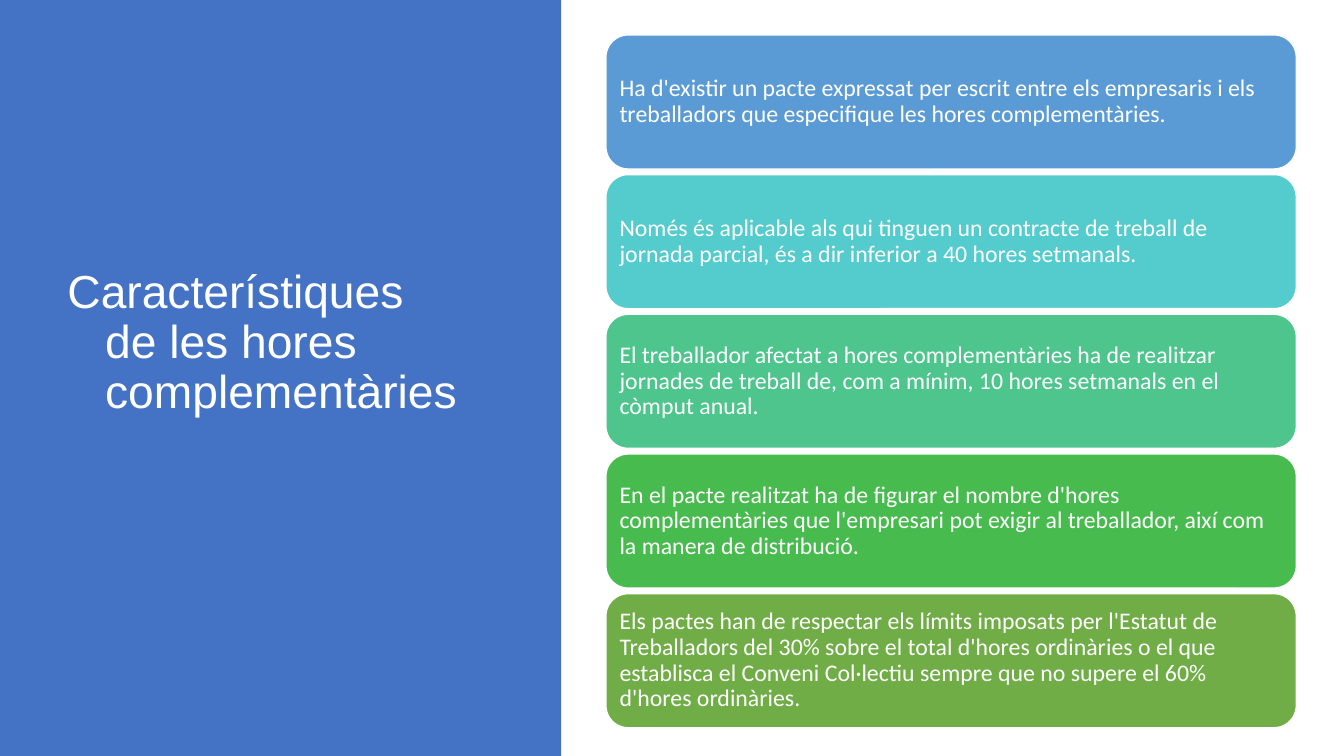
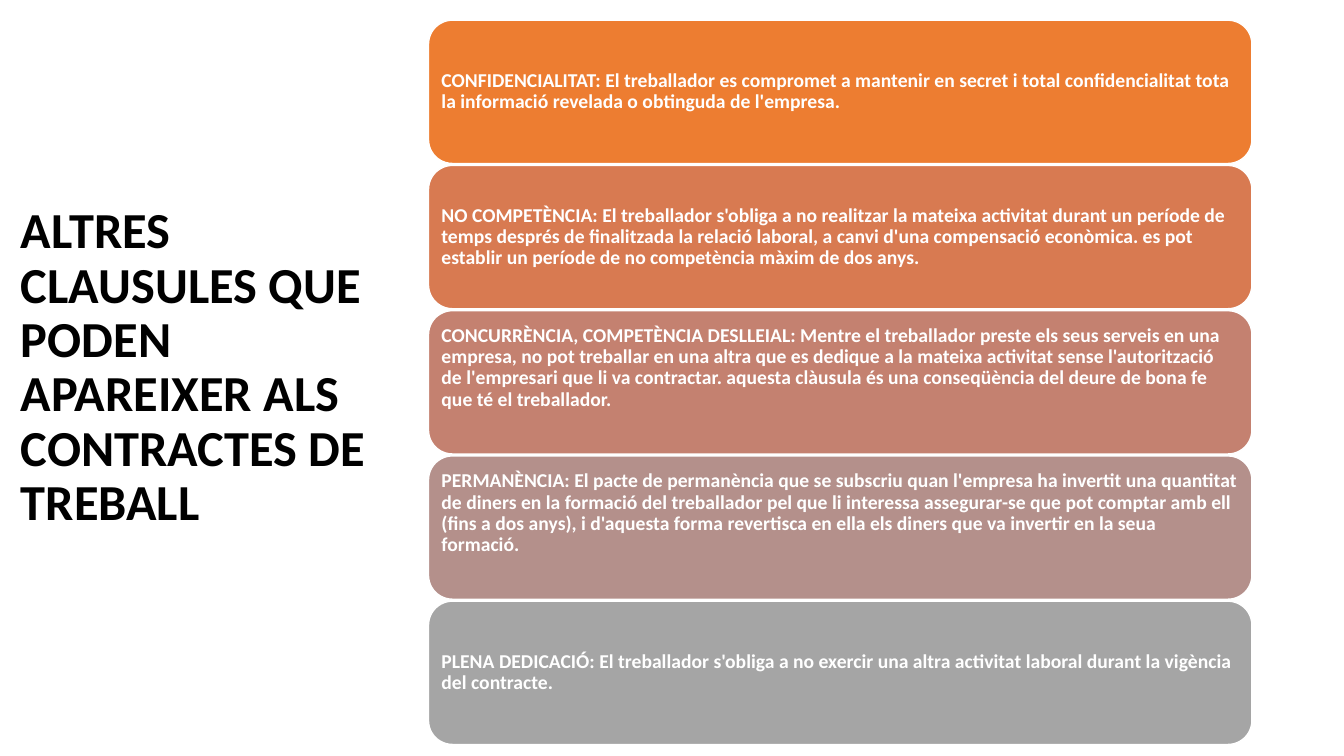
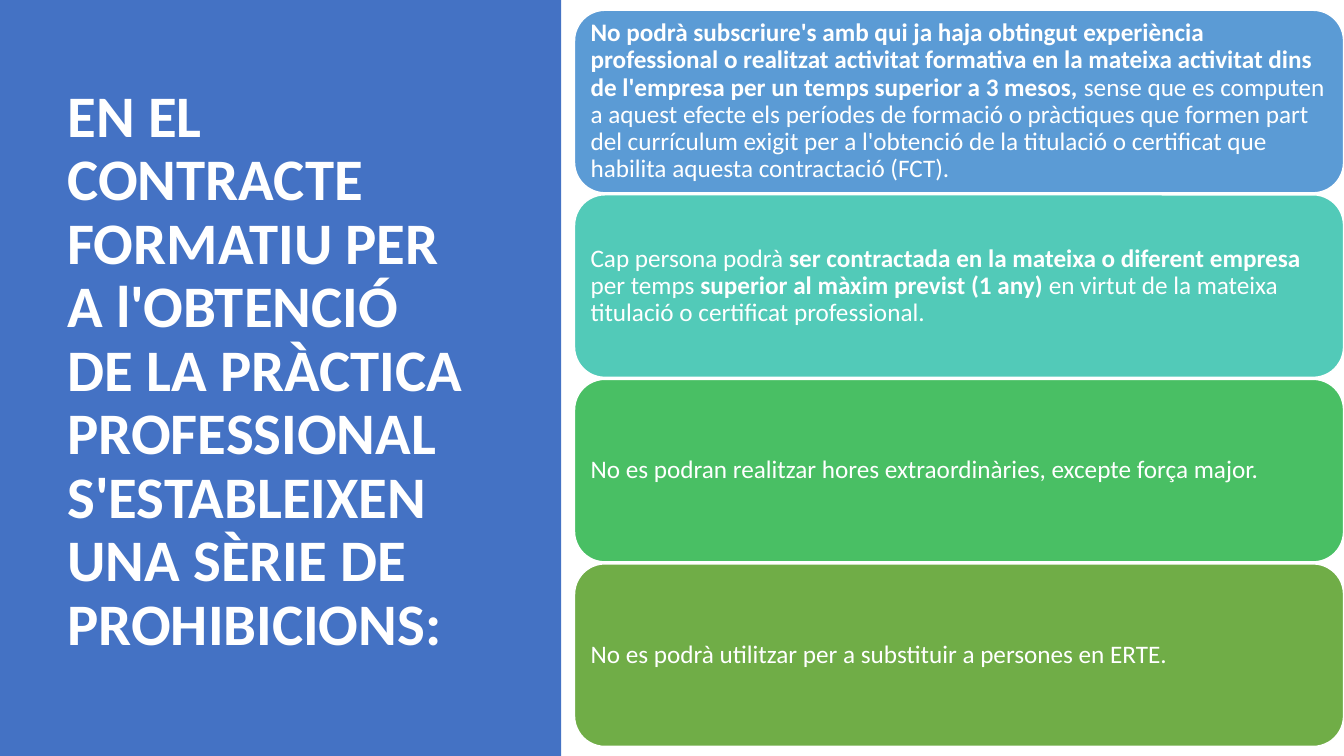
from pptx import Presentation
from pptx.dml.color import RGBColor
from pptx.enum.shapes import MSO_SHAPE
from pptx.enum.text import MSO_ANCHOR, PP_ALIGN
from pptx.util import Cm, Pt

RECTANGLE = MSO_SHAPE.RECTANGLE
ROUNDED = MSO_SHAPE.ROUNDED_RECTANGLE
MIDDLE = MSO_ANCHOR.MIDDLE
LEFT = PP_ALIGN.LEFT

WHITE = RGBColor(0xFF, 0xFF, 0xFF)
BLACK = RGBColor(0x00, 0x00, 0x00)
PANEL_BLUE = RGBColor(0x44, 0x72, 0xC4)
SKY = RGBColor(0x5B, 0x9B, 0xD5)
TURQUOISE = RGBColor(0x54, 0xCC, 0xCD)
AQUA = RGBColor(0x52, 0xCA, 0xB8)
JADE = RGBColor(0x4D, 0xC5, 0x8D)
EMERALD = RGBColor(0x49, 0xBF, 0x64)
GREEN = RGBColor(0x48, 0xBB, 0x4F)
OLIVE = RGBColor(0x70, 0xAD, 0x47)
ORANGE = RGBColor(0xED, 0x7D, 0x31)
COPPER = RGBColor(0xD8, 0x7A, 0x51)
ROSE = RGBColor(0xC4, 0x81, 0x70)
MAUVE = RGBColor(0xB4, 0x90, 0x8B)
GRAY = RGBColor(0xA5, 0xA5, 0xA5)

SLIDE_WIDTH, SLIDE_HEIGHT = 33.87, 19.05
PANEL_WIDTH = 14.14
BODY_FONT = "Calibri"
LINE_SPACING = 0.9
RAISED_TEXT = 0.72  # extra bottom inset that lifts the text of a card

PACT_CARDS = [
    (SKY, "Ha d'existir un pacte expressat per escrit entre els empresaris i els "
          "treballadors que especifique les hores complementàries."),
    (TURQUOISE, "Només és aplicable als qui tinguen un contracte de treball de jornada "
                "parcial, és a dir inferior a 40 hores setmanals."),
    (JADE, "El treballador afectat a hores complementàries ha de realitzar jornades de "
           "treball de, com a mínim, 10 hores setmanals en el còmput anual."),
    (GREEN, "En el pacte realitzat ha de figurar el nombre d'hores complementàries que "
            "l'empresari pot exigir al treballador, així com la manera de distribució."),
    (OLIVE, "Els pactes han de respectar els límits imposats per l'Estatut de "
            "Treballadors del 30% sobre el total d'hores ordinàries o el que establisca "
            "el Conveni Col·lectiu sempre que no supere el 60% d'hores ordinàries."),
]

CLAUSE_CARDS = [
    (ORANGE, "CONFIDENCIALITAT: El treballador es compromet a mantenir en secret i total "
             "confidencialitat tota la informació revelada o obtinguda de l'empresa."),
    (COPPER, "NO COMPETÈNCIA: El treballador s'obliga a no realitzar la mateixa activitat "
             "durant un període de temps després de finalitzada la relació laboral, a "
             "canvi d'una compensació econòmica. es pot establir un període de no "
             "competència màxim de dos anys."),
    (ROSE, "CONCURRÈNCIA, COMPETÈNCIA DESLLEIAL: Mentre el treballador preste els seus "
           "serveis en una empresa, no pot treballar en una altra que es dedique a la "
           "mateixa activitat sense l'autorització de l'empresari que li va contractar. "
           "aquesta clàusula és una conseqüència del deure de bona fe que té el "
           "treballador.", RAISED_TEXT),
    (MAUVE, "PERMANÈNCIA: El pacte de permanència que se subscriu quan l'empresa ha "
            "invertit una quantitat de diners en la formació del treballador pel que li "
            "interessa assegurar-se que pot comptar amb ell (fins a dos anys), i "
            "d'aquesta forma revertisca en ella els diners que va invertir en la seua "
            "formació.", RAISED_TEXT),
    (GRAY, "PLENA DEDICACIÓ: El treballador s'obliga a no exercir una altra activitat "
           "laboral durant la vigència del contracte."),
]

# Bold passages stand between asterisks.
PROHIBITION_CARDS = [
    (SKY, "*No podrà subscriure's amb qui ja haja obtingut experiència professional o "
          "realitzat activitat formativa en la mateixa activitat dins de l'empresa per un "
          "temps superior a 3 mesos,* sense que es computen a aquest efecte els períodes "
          "de formació o pràctiques que formen part del currículum exigit per a "
          "l'obtenció de la titulació o certificat que habilita aquesta contractació "
          "(FCT)."),
    (AQUA, "Cap persona podrà *ser contractada en la mateixa o diferent empresa* per "
           "temps *superior al màxim previst (1 any)* en virtut de la mateixa titulació o "
           "certificat professional."),
    (EMERALD, "No es podran realitzar hores extraordinàries, excepte força major."),
    (OLIVE, "No es podrà utilitzar per a substituir a persones en ERTE."),
]


class Deck:
    def __init__(self):
        self.presentation = Presentation()
        self.presentation.slide_width = Cm(SLIDE_WIDTH)
        self.presentation.slide_height = Cm(SLIDE_HEIGHT)
        self.slide = None

    def add_slide(self):
        self.slide = self.presentation.slides.add_slide(self.presentation.slide_layouts[6])

    def set_text(self, shape, text, size, color, font=BODY_FONT, bold=False):
        """Fill the shape with one paragraph; asterisks toggle bold."""
        frame = shape.text_frame
        frame.word_wrap = True
        frame.vertical_anchor = MIDDLE
        paragraph = frame.paragraphs[0]
        paragraph.alignment = LEFT
        paragraph.line_spacing = LINE_SPACING
        paragraph.font.name = font
        paragraph.font.size = Pt(size)
        paragraph.font.color.rgb = color
        passages = text.split("*")
        if len(passages) == 1:
            paragraph.font.bold = bold
        for index, passage in enumerate(passages):
            if passage:
                run = paragraph.add_run()
                run.text = passage
                if len(passages) > 1:
                    run.font.bold = index % 2 == 1
        return paragraph

    def shape(self, kind, left, top, width, height, fill):
        shape = self.slide.shapes.add_shape(kind, Cm(left), Cm(top), Cm(width), Cm(height))
        shape.shadow.inherit = False
        shape.fill.solid()
        shape.fill.fore_color.rgb = fill
        return shape

    def panel(self):
        panel = self.shape(RECTANGLE, 0, 0, PANEL_WIDTH, SLIDE_HEIGHT, PANEL_BLUE)
        panel.line.fill.background()

    def title(self, text, size, color=WHITE, left=1.45, top=1.73, width=10.57,
              height=15.29, font=BODY_FONT, bold=True, hanging=0):
        box = self.slide.shapes.add_textbox(Cm(left), Cm(top), Cm(width), Cm(height))
        paragraph = self.set_text(box, text, size, color, font, bold)
        if hanging:
            properties = paragraph._p.get_or_add_pPr()
            properties.set("marL", str(Cm(hanging)))
            properties.set("indent", str(-Cm(hanging)))

    def cards(self, cards, left, top, width, height, gap, size, inset, bold=False):
        """Stack rounded cards downwards with equal gaps."""
        for index, (fill, text, *extra) in enumerate(cards):
            card = self.shape(ROUNDED, left, top + index * (height + gap), width, height, fill)
            card.line.color.rgb = WHITE
            card.line.width = Pt(1)
            frame = card.text_frame
            frame.margin_left = frame.margin_right = frame.margin_top = Cm(inset)
            frame.margin_bottom = Cm(inset + sum(extra))
            self.set_text(card, text, size, WHITE, bold=bold)


def main():
    deck = Deck()

    deck.add_slide()
    deck.panel()
    deck.title("Característiques de les hores complementàries", 33, height=13.84,
               font="Arial", bold=False, hanging=0.95)
    deck.cards(PACT_CARDS, left=15.27, top=0.88, width=17.4, height=3.38, gap=0.14,
               size=17, inset=0.18)

    deck.add_slide()
    deck.title("ALTRES CLAUSULES QUE PODEN APAREIXER ALS CONTRACTES DE TREBALL", 36, BLACK,
               left=0.28, top=1.55, width=10.21, height=15.47)
    deck.cards(CLAUSE_CARDS, left=10.8, top=0.51, width=20.75, height=3.61, gap=0.05,
               size=14, inset=0.15, bold=True)

    deck.add_slide()
    deck.panel()
    deck.title("EN EL CONTRACTE FORMATIU PER A l'OBTENCIÓ DE LA PRÀCTICA PROFESSIONAL "
               "S'ESTABLEIXEN UNA SÈRIE DE PROHIBICIONS:", 42)
    deck.cards(PROHIBITION_CARDS, left=14.48, top=0.26, width=19.38, height=4.6, gap=0.05,
               size=18, inset=0.18)

    deck.presentation.save("out.pptx")


if __name__ == "__main__":
    main()
